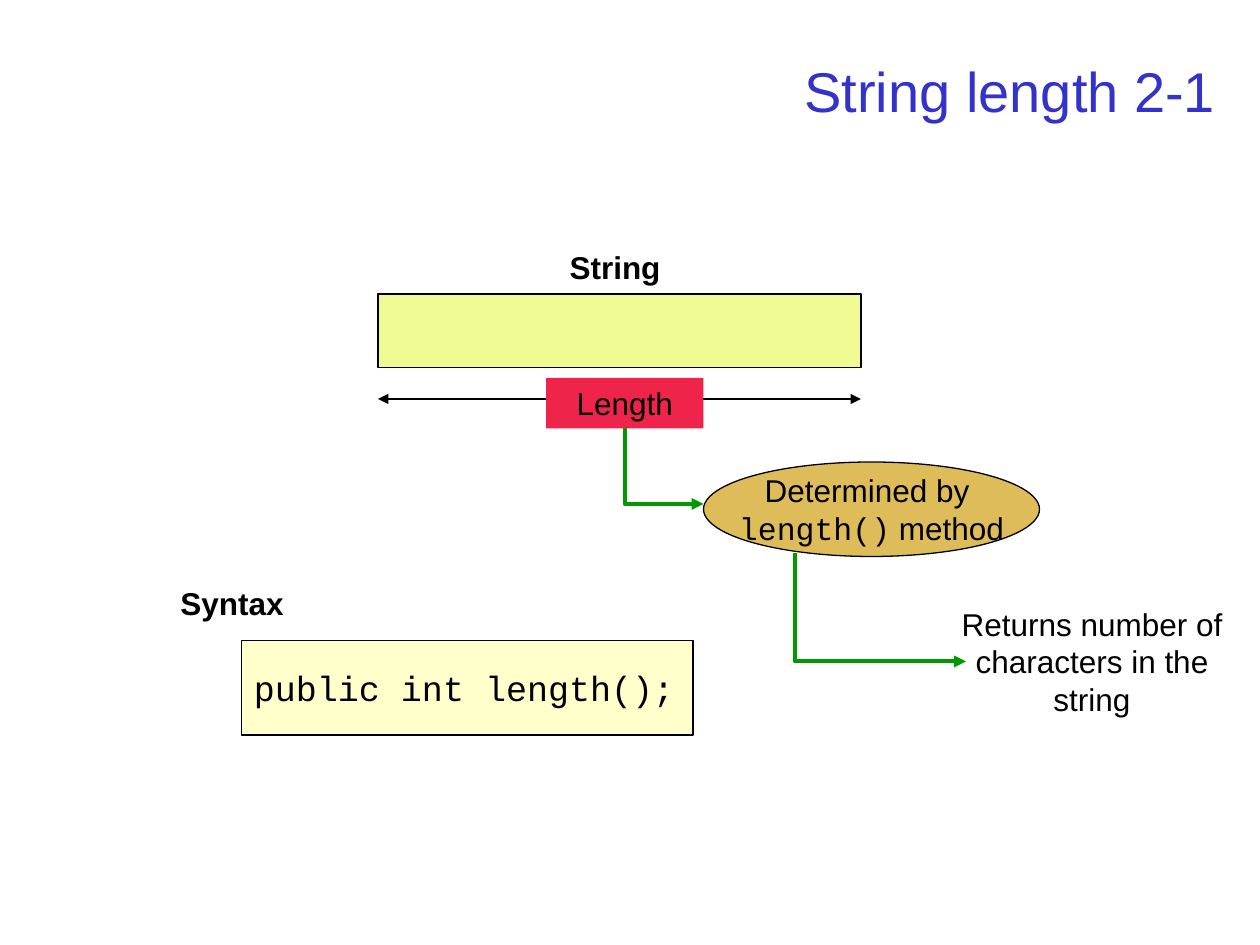
from dataclasses import dataclass
from pptx import Presentation
from pptx.dml.color import RGBColor
from pptx.enum.shapes import MSO_CONNECTOR, MSO_SHAPE
from pptx.enum.text import MSO_ANCHOR, PP_ALIGN
from pptx.oxml.ns import qn
from pptx.util import Pt
from lxml.etree import SubElement

SCALE = 7620


@dataclass(frozen=True)
class Theme:
    sans: str = "Arial"
    mono: str = "Courier New"
    head: int = 32
    code: int = 20
    body: int = 18
    blue: str = "3333CC"
    ink: str = "000000"
    lime: str = "F0FA92"
    red: str = "EE244A"
    gold: str = "CC9900"
    cream: str = "FFFFCC"
    green: str = "009900"


THEME = Theme()


def px(*nums):
    return [round(num * SCALE) for num in nums]


def put(item, values):
    for name, value in values.items():
        setattr(item, name, value)


def write(shape, lines, size=THEME.body, tint=THEME.ink, bold=False,
          align=PP_ALIGN.CENTER, anchor=MSO_ANCHOR.TOP, wrap=True):
    frame = shape.text_frame
    side, edge = px(12, 6)
    put(frame, dict(word_wrap=wrap, vertical_anchor=anchor, margin_left=side,
                    margin_right=side, margin_top=edge, margin_bottom=edge))
    for spot, line in enumerate(lines):
        para = frame.add_paragraph() if spot else frame.paragraphs[0]
        para.alignment = align
        for text, face in line:
            run = para.add_run()
            run.text = text
            put(run.font, dict(name=face, size=Pt(size), bold=bold))
            run.font.color.rgb = RGBColor.from_string(tint)


def label(slide, box, text, **style):
    shape = slide.shapes.add_textbox(*px(*box))
    write(shape, [[(text, THEME.sans)]], **style)


def block(slide, kind, box, tint, edge=True):
    shape = slide.shapes.add_shape(kind, *px(*box))
    shape.shadow.inherit = False
    shape.fill.solid()
    shape.fill.fore_color.rgb = RGBColor.from_string(tint)
    if edge:
        shape.line.color.rgb = RGBColor.from_string(THEME.ink)
        shape.line.width = Pt(0.75)
    else:
        shape.line.fill.background()
    return shape


def arrow(slide, ends, tint, width, kind=MSO_CONNECTOR.STRAIGHT):
    link = slide.shapes.add_connector(kind, *px(*ends))
    link.line.color.rgb = RGBColor.from_string(tint)
    link.line.width = Pt(width)
    SubElement(link.line._get_or_add_ln(), qn("a:tailEnd"), type="triangle")
    SubElement(link._element.spPr, qn("a:effectLst"))
    return link


def elbow(slide, left, top, wide, high):
    mid_x, mid_y = left + wide / 2, top + high / 2
    ends = (mid_x - high / 2, mid_y - wide / 2,
            mid_x + high / 2, mid_y + wide / 2)
    link = arrow(slide, ends, THEME.green, 2.25, MSO_CONNECTOR.ELBOW)
    props = link._element.spPr
    props.find(qn("a:prstGeom")).set("prst", "bentConnector2")
    frame = props.find(qn("a:xfrm"))
    for name, value in dict(rot="16200000", flipH="1").items():
        frame.set(name, value)


def title(slide, box):
    shape = slide.shapes.title
    put(shape, dict(zip(("left", "top", "width", "height"), px(*box))))
    write(shape, [[("String length 2-1", THEME.sans)]], size=THEME.head,
          tint=THEME.blue, align=PP_ALIGN.RIGHT, anchor=MSO_ANCHOR.MIDDLE)


def string(slide, box):
    left, top, wide, high = box
    block(slide, MSO_SHAPE.RECTANGLE, (left, top + 50, wide, 70), THEME.lime)
    label(slide, (left - 10, top, wide + 20, 48), "String ", bold=True)
    tag_x, tag_w, row = left + 160, 150, top + 150
    for start, end in ((tag_x, left), (tag_x + tag_w, left + wide)):
        arrow(slide, (start, row, end, row), THEME.ink, 1.5)
    tag = block(slide, MSO_SHAPE.RECTANGLE,
                (tag_x, top + high - 48, tag_w, 48), THEME.red, edge=False)
    write(tag, [[("Length", THEME.sans)]])


def method(slide, box):
    left, top, wide, high = box
    elbow(slide, left, top, 75, 72)
    oval = block(slide, MSO_SHAPE.OVAL, (left + 75, top + 32, 320, 90),
                 THEME.gold)
    tint = oval.fill._xPr.find(qn("a:solidFill"))[0]
    SubElement(tint, qn("a:alpha"), val="65000")
    write(oval, [[("Determined by ", THEME.sans)],
                 [("length()", THEME.mono), (" method", THEME.sans)]],
          anchor=MSO_ANCHOR.MIDDLE, wrap=False)
    elbow(slide, left + 162, top + 119, 163, 103)
    label(slide, (left + wide - 280, top + high - 120, 280, 120),
          "Returns number of characters in the string")


def syntax(slide, box):
    left, top, wide, high = box
    label(slide, (left, top, 320, 48), "Syntax", bold=True,
          align=PP_ALIGN.LEFT)
    code = block(slide, MSO_SHAPE.RECTANGLE,
                 (left + 70, top + 60, wide - 70, high - 60), THEME.cream)
    write(code, [[("public int length();", THEME.mono)]], size=THEME.code,
          align=PP_ALIGN.LEFT, anchor=MSO_ANCHOR.MIDDLE, wrap=False)


def main():
    deck = Presentation()
    put(deck, dict(zip(("slide_width", "slide_height"), px(1200, 900))))
    slide = deck.slides.add_slide(deck.slide_layouts[5])
    title(slide, (90, 34, 1080, 104))
    string(slide, (360, 230, 460, 178))
    method(slide, (595, 408, 585, 282))
    syntax(slide, (160, 550, 500, 150))
    deck.save("out.pptx")


if __name__ == "__main__":
    main()
